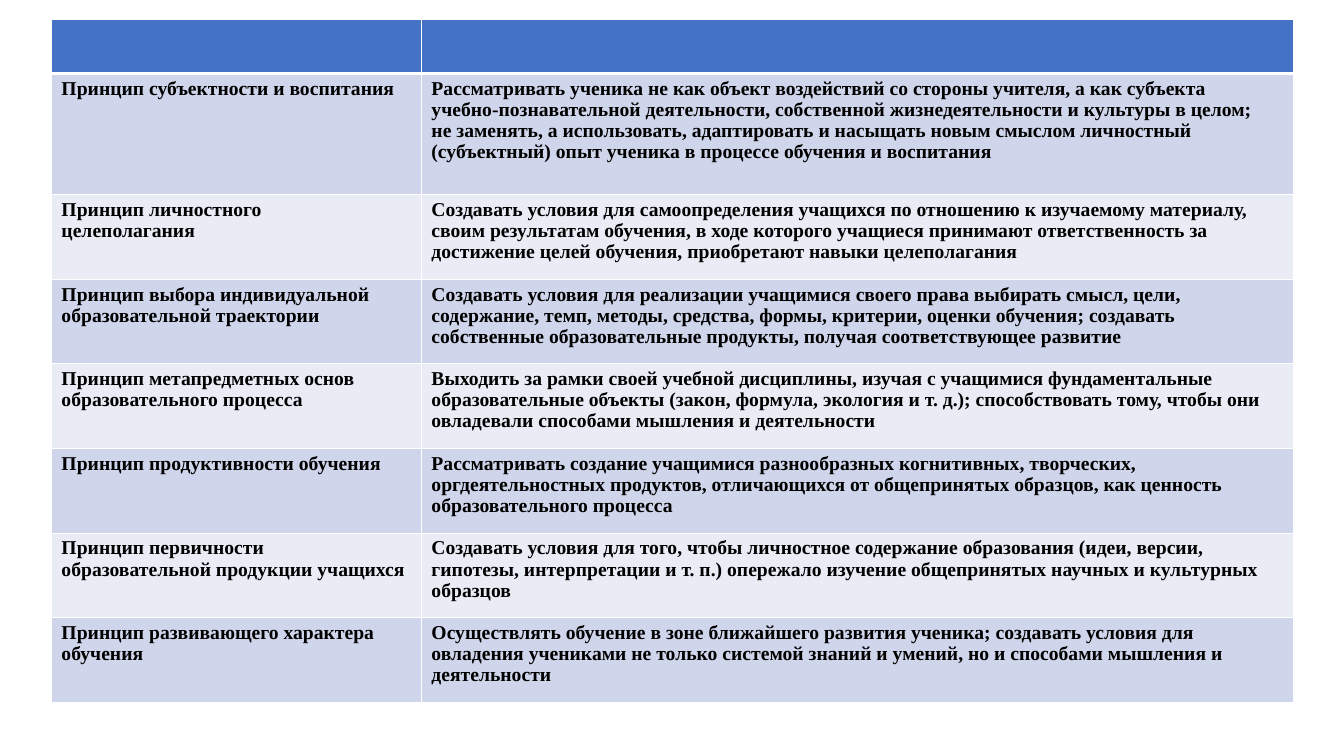
"""Build a slide with a table of learner-centred teaching principles."""
from dataclasses import dataclass

from lxml import etree
from pptx import Presentation
from pptx.dml.color import RGBColor
from pptx.oxml.ns import qn
from pptx.table import _Cell
from pptx.util import Inches, Pt

HEADER_BLUE = RGBColor(0x44, 0x72, 0xC4)
BAND_DARK = RGBColor(0xCF, 0xD5, 0xEA)
BAND_LIGHT = RGBColor(0xE9, 0xEB, 0xF5)
BLACK = RGBColor(0x00, 0x00, 0x00)
WHITE = RGBColor(0xFF, 0xFF, 0xFF)

FONT = "Times New Roman"
COLUMN_WIDTHS = (3.67, 8.65)
HEADER_HEIGHT = 0.54
FIRST_HEIGHT = 1.2
ROW_HEIGHT = 0.84
THIN, THICK = 1, 3


@dataclass(frozen=True)
class Principle:
    name: str
    meaning: str
    height: float = ROW_HEIGHT


PRINCIPLES = (
    Principle(
        "Принцип субъектности и воспитания",
        "Рассматривать ученика не как объект воздействий со стороны учителя, а как субъекта\n"
        "учебно-познавательной деятельности, собственной жизнедеятельности и культуры в целом;\n"
        "не заменять, а использовать, адаптировать и насыщать новым смыслом личностный "
        "(субъектный) опыт ученика в процессе обучения и воспитания",
        FIRST_HEIGHT,
    ),
    Principle(
        "Принцип личностного\nцелеполагания",
        "Создавать условия для самоопределения учащихся по отношению к изучаемому материалу,\n"
        "своим результатам обучения, в ходе которого учащиеся принимают ответственность за "
        "достижение целей обучения, приобретают навыки целеполагания",
    ),
    Principle(
        "Принцип выбора индивидуальной образовательной траектории",
        "Создавать условия для реализации учащимися своего права выбирать смысл, цели, "
        "содержание, темп, методы, средства, формы, критерии, оценки обучения; создавать "
        "собственные образовательные продукты, получая соответствующее развитие",
    ),
    Principle(
        "Принцип метапредметных основ образовательного процесса",
        "Выходить за рамки своей учебной дисциплины, изучая с учащимися фундаментальные "
        "образовательные объекты (закон, формула, экология и т. д.); способствовать тому, "
        "чтобы они овладевали способами мышления и деятельности",
    ),
    Principle(
        "Принцип продуктивности обучения",
        "Рассматривать создание учащимися разнообразных когнитивных, творческих, "
        "оргдеятельностных продуктов, отличающихся от общепринятых образцов, как ценность "
        "образовательного процесса",
    ),
    Principle(
        "Принцип первичности образовательной продукции учащихся",
        "Создавать условия для того, чтобы личностное содержание образования (идеи, версии, "
        "гипотезы, интерпретации и т. п.) опережало изучение общепринятых научных и "
        "культурных образцов",
    ),
    Principle(
        "Принцип развивающего характера обучения",
        "Осуществлять обучение в зоне ближайшего развития ученика; создавать условия для "
        "овладения учениками не только системой знаний и умений, но и способами мышления и "
        "деятельности",
    ),
)


def style_cell(cell: _Cell, color: RGBColor, top: int = THIN, bottom: int = THIN) -> None:
    cell.fill.solid()
    cell.fill.fore_color.rgb = color
    properties = cell._tc.get_or_add_tcPr()
    sides = (("a:lnL", THIN), ("a:lnR", THIN), ("a:lnT", top), ("a:lnB", bottom))
    for position, (side, width) in enumerate(sides):
        border = etree.Element(qn(side), w=str(Pt(width)))
        fill = etree.SubElement(border, qn("a:solidFill"))
        etree.SubElement(fill, qn("a:srgbClr"), val=str(WHITE))
        properties.insert(position, border)


def write_cell(cell: _Cell, text: str) -> None:
    cell.text = text
    for paragraph in cell.text_frame.paragraphs:
        paragraph.line_spacing = 0.97
        paragraph.font.name = FONT
        paragraph.font.size = Pt(14)
        paragraph.font.bold = True
        paragraph.font.color.rgb = BLACK


def main() -> None:
    deck = Presentation()
    deck.slide_width, deck.slide_height = Inches(13.33), Inches(7.5)
    slide = deck.slides.add_slide(deck.slide_layouts[6])

    heights = (HEADER_HEIGHT, *(principle.height for principle in PRINCIPLES))
    table = slide.shapes.add_table(
        len(heights), len(COLUMN_WIDTHS), Inches(0.51), Inches(0.19),
        Inches(sum(COLUMN_WIDTHS)), Inches(sum(heights)),
    ).table
    for column, width in zip(table.columns, COLUMN_WIDTHS):
        column.width = Inches(width)
    for row, height in zip(table.rows, heights):
        row.height = Inches(height)

    for header in table.rows[0].cells:
        style_cell(header, HEADER_BLUE, bottom=THICK)
    for number, principle in enumerate(PRINCIPLES, start=1):
        band = BAND_DARK if number % 2 else BAND_LIGHT
        for cell, text in zip(table.rows[number].cells, (principle.name, principle.meaning)):
            style_cell(cell, band, top=THICK if number == 1 else THIN)
            write_cell(cell, text)

    deck.save("out.pptx")


if __name__ == "__main__":
    main()
